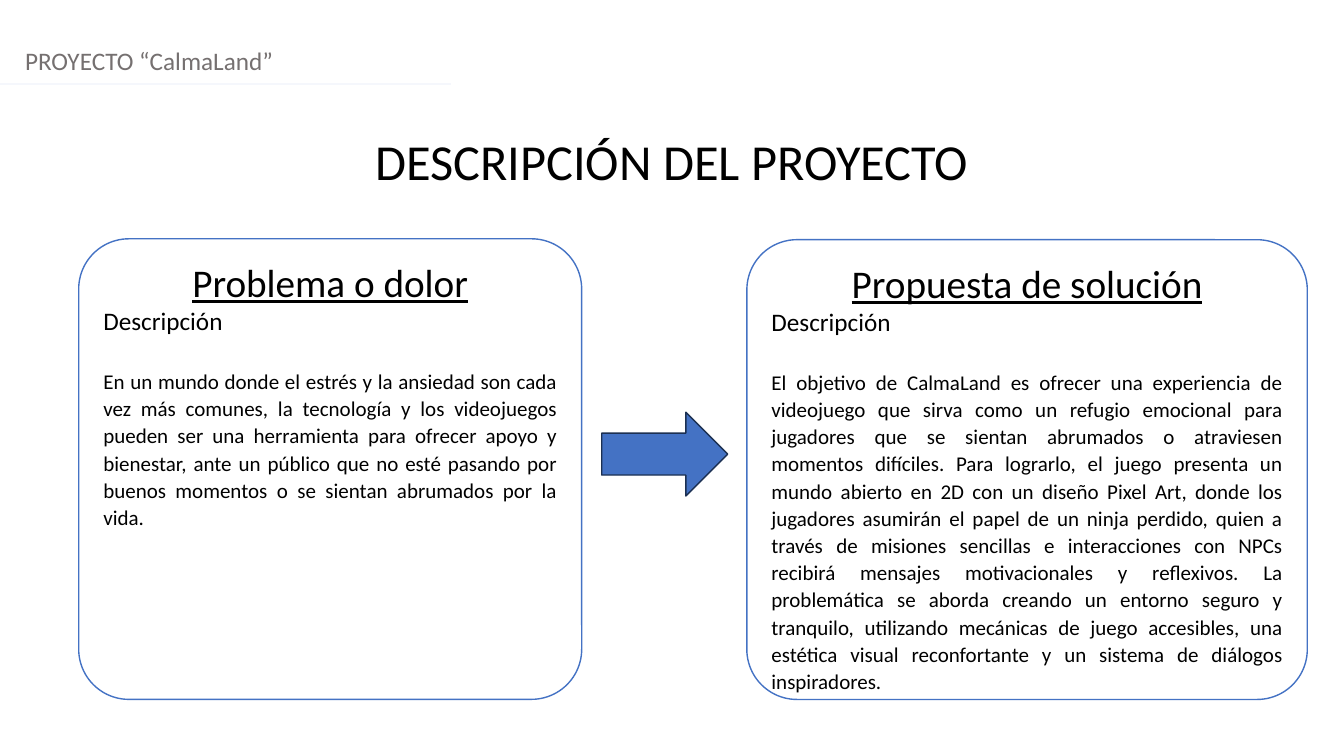
"""Build the project description slide: a problem card leading to a solution card."""
from dataclasses import dataclass

from lxml.etree import SubElement
from pptx import Presentation
from pptx.dml.color import RGBColor
from pptx.enum.shapes import MSO_CONNECTOR, MSO_SHAPE
from pptx.enum.text import MSO_ANCHOR, MSO_AUTO_SIZE, PP_ALIGN
from pptx.oxml.ns import qn
from pptx.shapes.autoshape import Shape
from pptx.slide import Slide
from pptx.text.text import TextFrame, _Paragraph
from pptx.util import Pt

FONT = "Calibri"
BLACK = RGBColor(0x00, 0x00, 0x00)
WHITE = RGBColor(0xFF, 0xFF, 0xFF)
GREY = RGBColor(0x75, 0x70, 0x70)
BLUE = RGBColor(0x44, 0x72, 0xC4)
NAVY = RGBColor(0x1C, 0x30, 0x52)
PALE = RGBColor(0xF5, 0xF7, 0xFC)
PAGE_WIDTH = 960
PAGE_HEIGHT = 540
CORNER = 0.109


@dataclass(frozen=True)
class Box:
    """A rectangle on the page, in points."""

    left: float
    top: float
    width: float
    height: float

    def lengths(self) -> tuple[Pt, Pt, Pt, Pt]:
        """Return the four sides as lengths."""
        return Pt(self.left), Pt(self.top), Pt(self.width), Pt(self.height)


@dataclass(frozen=True)
class Card:
    """A rounded card with a heading and a description."""

    box: Box
    heading: str
    description: str


CARDS = (
    Card(
        Box(56.2, 170.6, 359.3, 329),
        "Problema o dolor",
        "En un mundo donde el estrés y la ansiedad son cada vez más comunes, "
        "la tecnología y los videojuegos pueden ser una herramienta para ofrecer "
        "apoyo y bienestar, ante un público que no esté pasando por buenos "
        "momentos o se sientan abrumados por la vida.",
    ),
    Card(
        Box(533.5, 171.2, 400.3, 328.4),
        "Propuesta de solución",
        "El objetivo de CalmaLand es ofrecer una experiencia de videojuego que "
        "sirva como un refugio emocional para jugadores que se sientan abrumados "
        "o atraviesen momentos difíciles. Para lograrlo, el juego presenta un "
        "mundo abierto en 2D con un diseño Pixel Art, donde los jugadores "
        "asumirán el papel de un ninja perdido, quien a través de misiones "
        "sencillas e interacciones con NPCs recibirá mensajes motivacionales y "
        "reflexivos. La problemática se aborda creando un entorno seguro y "
        "tranquilo, utilizando mecánicas de juego accesibles, una estética visual "
        "reconfortante y un sistema de diálogos inspiradores.",
    ),
)


def prepare_frame(frame: TextFrame) -> None:
    """Give a text frame wrapping, top anchoring and the common margins."""
    frame.word_wrap = True
    frame.auto_size = MSO_AUTO_SIZE.NONE
    frame.vertical_anchor = MSO_ANCHOR.TOP
    frame.margin_left = frame.margin_right = Pt(7.2)
    frame.margin_top = frame.margin_bottom = Pt(3.6)


def write(para: _Paragraph, text: str, size: float, align: PP_ALIGN,
          color: RGBColor = BLACK, underline: bool = False) -> None:
    """Add one formatted run to a paragraph and align it."""
    para.alignment = align
    span = para.add_run()
    span.text = text
    span.font.name = FONT
    span.font.size = Pt(size)
    span.font.color.rgb = color
    span.font.underline = underline


def draw_shape(page: Slide, kind: MSO_SHAPE, box: Box, fill: RGBColor,
               line: RGBColor) -> Shape:
    """Draw a flat filled shape with a one-point outline."""
    shape = page.shapes.add_shape(kind, *box.lengths())
    shape.shadow.inherit = False
    shape.fill.solid()
    shape.fill.fore_color.rgb = fill
    shape.line.color.rgb = line
    shape.line.width = Pt(1)
    return shape


def draw_card(page: Slide, card: Card) -> None:
    """Draw a rounded card and its three paragraphs."""
    shape = draw_shape(page, MSO_SHAPE.ROUNDED_RECTANGLE, card.box, WHITE, BLUE)
    shape.adjustments[0] = CORNER
    frame = shape.text_frame
    prepare_frame(frame)
    write(frame.paragraphs[0], card.heading, 28, PP_ALIGN.CENTER, underline=True)
    write(frame.add_paragraph(), "Descripción", 18, PP_ALIGN.JUSTIFY)
    para = frame.add_paragraph()
    para.space_before = Pt(22)
    para.space_after = Pt(8)
    para.line_spacing = 1.08
    write(para, card.description, 15, PP_ALIGN.JUSTIFY)


def draw_header(page: Slide) -> None:
    """Draw the project name and the pale rule below it."""
    label = page.shapes.add_textbox(*Box(10.8, 28.8, 940, 28.8).lengths())
    prepare_frame(label.text_frame)
    write(label.text_frame.paragraphs[0], "PROYECTO “CalmaLand”", 18,
          PP_ALIGN.LEFT, GREY)
    rule = page.shapes.add_connector(
        MSO_CONNECTOR.STRAIGHT, Pt(0), Pt(59.8), Pt(321.8), Pt(59.8))
    rule.line.color.rgb = PALE
    rule.line.width = Pt(1.25)
    SubElement(rule.element.spPr, qn("a:effectLst"))


def draw_title(page: Slide) -> None:
    """Place and write the title."""
    title = page.shapes.title
    title.left, title.top, title.width, title.height = Box(
        0, 89.3, PAGE_WIDTH, 51.1).lengths()
    prepare_frame(title.text_frame)
    write(title.text_frame.paragraphs[0], "DESCRIPCIÓN DEL PROYECTO", 36,
          PP_ALIGN.CENTER)


def main() -> None:
    """Build and save the deck."""
    deck = Presentation()
    deck.slide_width = Pt(PAGE_WIDTH)
    deck.slide_height = Pt(PAGE_HEIGHT)
    page = deck.slides.add_slide(deck.slide_layouts.get_by_name("Title Only"))
    draw_title(page)
    draw_header(page)
    for card in CARDS:
        draw_card(page, card)
    draw_shape(page, MSO_SHAPE.RIGHT_ARROW, Box(429.8, 294.5, 90, 59.8), BLUE, NAVY)
    deck.save("out.pptx")


if __name__ == "__main__":
    main()
